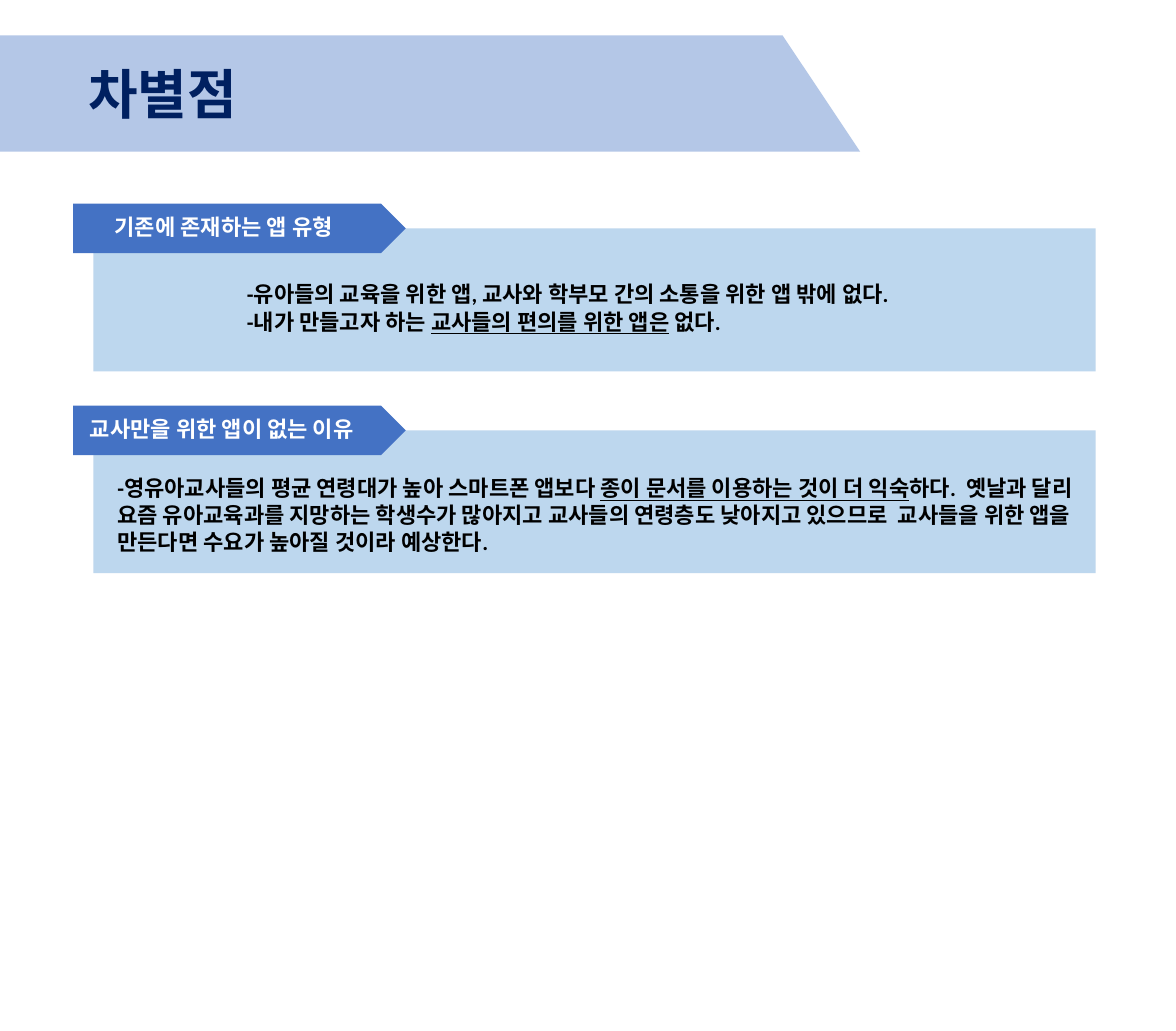
from lxml.etree import SubElement
from pptx import Presentation
from pptx.dml.color import RGBColor
from pptx.enum.shapes import MSO_SHAPE as Shape
from pptx.oxml.ns import qn
from pptx.util import Inches, Pt

KOREAN, LATIN = "Noto Sans CJK KR", "Calibri"
SECTION_TOP, SECTION_PITCH = 2.31, 2.29
PANEL_DROP = 0.28

SECTIONS = [
    {
        "heading": "기존에 존재하는 앱 유형",
        "heading_left": 1.3,
        "body_box": (2.8, 0.86, 7.87, 0.63),
        "body": [
            [("-", LATIN), ("유아들의 교육을 위한 앱", KOREAN), (", ", LATIN),
             ("교사와 학부모 간의 소통을 위한 앱 밖에 없다", KOREAN), (".", LATIN)],
            [("-", LATIN), ("내가 만들고자 하는 ", KOREAN),
             ("교사들의 편의를 위한 앱은", KOREAN, True),
             (" 없다", KOREAN), (".", LATIN)],
        ],
    },
    {
        "heading": "교사만을 위한 앱이 없는 이유",
        "heading_left": 1.02,
        "body_box": (1.33, 0.77, 10.84, 0.94),
        "body": [
            [("-", LATIN),
             ("영유아교사들의 평균 연령대가 높아 스마트폰 앱보다 ", KOREAN),
             ("종이 문서를 이용하는 것이 더 익숙", KOREAN, True),
             ("하다", KOREAN), (".  ", LATIN),
             ("옛날과 달리 요즘 유아교육과를 지망하는 학생수가 많아지고 "
              "교사들의 연령층도 낮아지고 있으므로  교사들을 위한 앱을 "
              "만든다면 수요가 높아질 것이라 예상한다", KOREAN), (".", LATIN)],
        ],
    },
]


def color(value):
    return RGBColor.from_string(value)


def paint(shape, fill):
    shape.shadow.inherit = False
    shape.fill.solid()
    shape.fill.fore_color.rgb = color(fill)
    shape.line.fill.background()


def add_block(page, kind, box, fill):
    paint(page.shapes.add_shape(kind, *map(Inches, box)), fill)


def add_banner(page, points, fill):
    corners = [(Inches(x), Inches(y)) for x, y in points]
    builder = page.shapes.build_freeform(*corners[0], scale=1.0)
    builder.add_line_segments(corners[1:], close=True)
    paint(builder.convert_to_shape(), fill)


def add_span(para, text, face, underline=False, size=18, ink="000000"):
    span = para.add_run()
    span.text = text
    formats = {"name": face, "size": Pt(size), "bold": True, "underline": underline}
    for name, value in formats.items():
        setattr(span.font, name, value)
    span.font.color.rgb = color(ink)
    SubElement(span.font._element, qn("a:ea"), typeface=KOREAN)


def add_text(page, box, lines, size=18, ink="000000"):
    frame = page.shapes.add_textbox(*map(Inches, box)).text_frame
    layout = {"word_wrap": True, "margin_left": 0, "margin_right": 0,
              "margin_top": Inches(0.01), "margin_bottom": 0}
    for name, value in layout.items():
        setattr(frame, name, value)
    for index, spans in enumerate(lines):
        para = frame.add_paragraph() if index else frame.paragraphs[0]
        para.space_before = Pt(0.5 if index else 1)
        para.line_spacing = Pt(round(size * 1.22, 1))
        for span in spans:
            add_span(para, *span, size=size, ink=ink)


def add_section(page, top, section):
    add_block(page, Shape.RECTANGLE, (1.06, top + PANEL_DROP, 11.36, 1.62), "BDD7EE")
    add_block(page, Shape.PENTAGON, (0.83, top, 3.77, 0.56), "4472C4")
    add_text(page, (section["heading_left"], top + 0.1, 3.2, 0.33),
             [[(section["heading"], KOREAN)]], ink="FFFFFF")
    left, drop, width, height = section["body_box"]
    add_text(page, (left, top + drop, width, height), section["body"])


def main():
    deck = Presentation()
    deck.slide_width, deck.slide_height = Inches(13.33), Inches(11.69)
    page = deck.slides.add_slide(deck.slide_layouts[6])
    add_banner(page, [(0, 0.4), (8.87, 0.4), (9.75, 1.72), (0, 1.72)], "B4C7E7")
    add_text(page, (1, 0.67, 1.86, 0.76), [[("차별점", KOREAN)]], size=44, ink="002060")
    for index, section in enumerate(SECTIONS):
        add_section(page, SECTION_TOP + index * SECTION_PITCH, section)
    deck.save("out.pptx")


if __name__ == "__main__":
    main()
